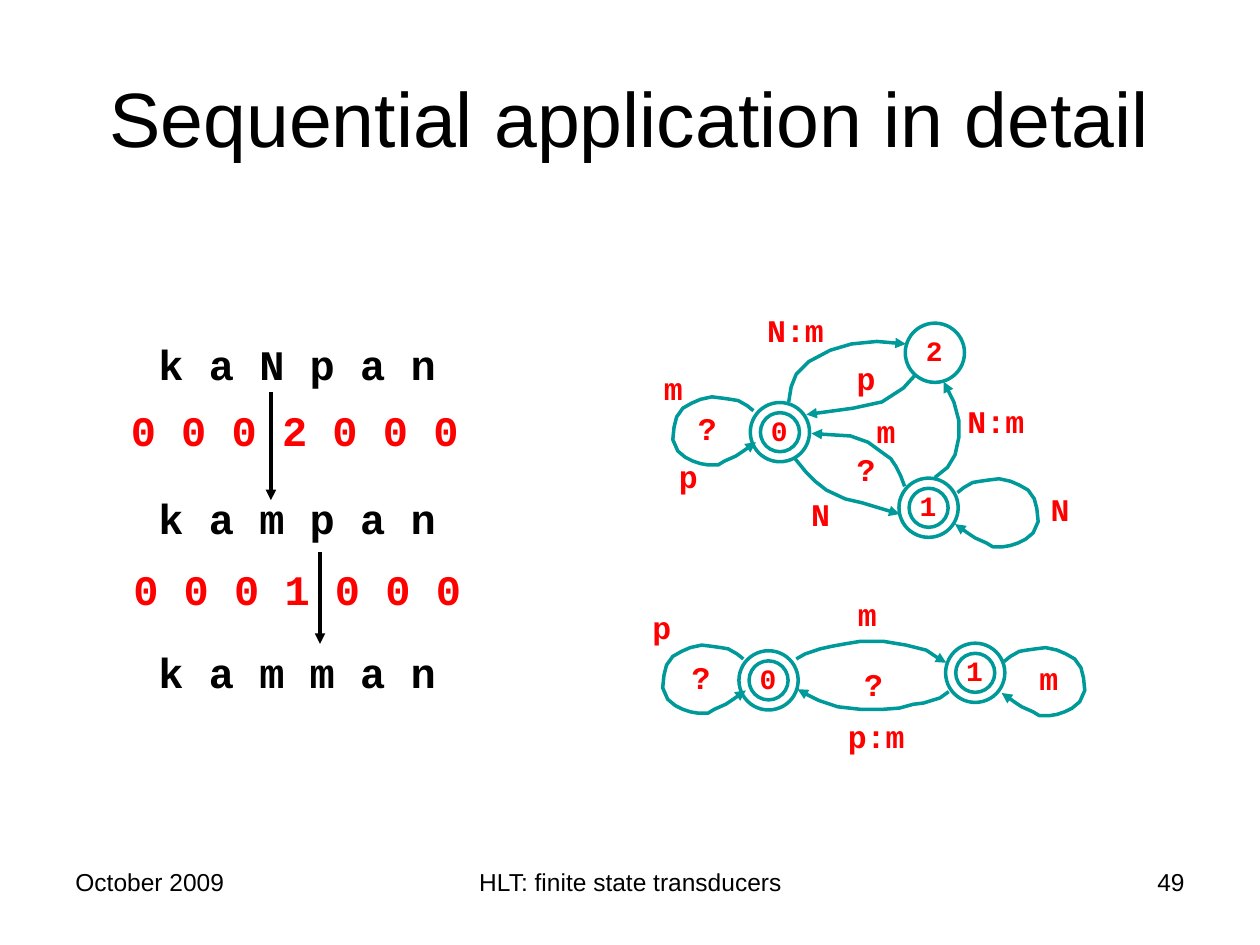
"""Build a slide that traces two transducers applied in sequence."""
from dataclasses import dataclass

from lxml import etree
from pptx import Presentation
from pptx.dml.color import RGBColor
from pptx.enum.shapes import MSO_CONNECTOR, MSO_SHAPE
from pptx.enum.text import MSO_ANCHOR, PP_ALIGN
from pptx.oxml.ns import qn
from pptx.shapes.base import BaseShape
from pptx.text.text import TextFrame
from pptx.util import Inches, Pt

LEFT, CENTER, RIGHT = PP_ALIGN.LEFT, PP_ALIGN.CENTER, PP_ALIGN.RIGHT
TOP, MIDDLE = MSO_ANCHOR.TOP, MSO_ANCHOR.MIDDLE
OVAL, STRAIGHT = MSO_SHAPE.OVAL, MSO_CONNECTOR.STRAIGHT

Point = tuple[float, float]


@dataclass(frozen=True)
class Theme:
    """Colours, fonts and type sizes of the slide."""
    black: RGBColor = RGBColor(0, 0, 0)
    red: RGBColor = RGBColor(255, 0, 0)
    teal: RGBColor = RGBColor(0, 0x99, 0x99)
    sans: str = "Arial"
    mono: str = "Courier New"
    title: int = 44
    word: int = 24
    label: int = 18
    state: int = 16
    foot: int = 14
    line: int = 2


@dataclass(frozen=True)
class Node:
    """A state, centred at x and y, with a second ring if final."""
    name: str
    x: float
    y: float
    final: bool = True


@dataclass(frozen=True)
class Loop:
    """An arc from a state to itself, open to the right unless flipped."""
    x: float
    y: float
    flip: bool = False


@dataclass(frozen=True)
class Label:
    """The symbols of an arc, with the left and top of their box."""
    text: str
    x: float
    y: float


@dataclass(frozen=True)
class Graph:
    """One transducer with its states, loops, arcs and labels."""
    nodes: list[Node]
    loops: list[Loop]
    arcs: list[list[Point]]
    labels: list[Label]


THEME = Theme()
OUTER, INNER = 0.47, 0.31
LOOP_WIDTH = 0.66
LOOP_PATH = [
    (0.64, 0.11), (0.59, 0.07), (0.52, 0.03), (0.46, 0.02), (0.39, 0.01), (0.31, 0),
    (0.22, 0.02), (0.15, 0.05), (0.08, 0.09), (0.03, 0.16), (0.01, 0.24), (0, 0.34),
    (0.04, 0.43), (0.1, 0.48), (0.16, 0.51), (0.22, 0.53), (0.28, 0.54), (0.36, 0.54),
    (0.41, 0.51), (0.5, 0.47), (0.56, 0.43), (0.66, 0.36)]

UPPER = Graph(
    nodes=[Node("0", 6.19, 3.43), Node("1", 7.37, 4.03), Node("2", 7.42, 2.8, False)],
    loops=[Loop(5.34, 3.15), Loop(7.58, 3.8, True)],
    arcs=[
        [(6.26, 3.19), (6.28, 3.07), (6.32, 2.97), (6.42, 2.87), (6.59, 2.78),
         (6.76, 2.73), (6.96, 2.71), (7.19, 2.73)],
        [(7.27, 2.97), (7.17, 3.08), (7, 3.19), (6.77, 3.24), (6.4, 3.29)],
        [(6.31, 3.64), (6.4, 3.75), (6.47, 3.82), (6.56, 3.89), (6.71, 3.96),
         (6.84, 3.99), (7.14, 4.08)],
        [(7.42, 3.79), (7.52, 3.71), (7.58, 3.61), (7.61, 3.47), (7.61, 3.34),
         (7.57, 3.19), (7.49, 3.03)],
        [(7.18, 3.86), (7.15, 3.78), (7.11, 3.7), (7.07, 3.64), (7, 3.59),
         (6.89, 3.51), (6.75, 3.46), (6.59, 3.45), (6.44, 3.44)]],
    labels=[Label("N:m", 5.99, 2.42), Label("N", 6.34, 3.88), Label("?", 6.7, 3.52),
            Label("?", 5.44, 3.2), Label("p", 6.7, 2.8), Label("N:m", 7.58, 3.14),
            Label("m", 5.17, 2.88), Label("p", 5.29, 3.58), Label("N", 8.24, 3.84),
            Label("m", 6.86, 3.22)])

LOWER = Graph(
    nodes=[Node("0", 6.1, 5.4), Node("1", 7.74, 5.34)],
    loops=[Loop(5.26, 5.12), Loop(7.95, 5.14, True)],
    arcs=[
        [(6.32, 5.23), (6.39, 5.19), (6.51, 5.15), (6.6, 5.13), (6.71, 5.11),
         (6.83, 5.09), (7.01, 5.09), (7.19, 5.12), (7.35, 5.16), (7.44, 5.22),
         (7.51, 5.26)],
        [(7.53, 5.49), (7.46, 5.54), (7.33, 5.58), (7.25, 5.59), (7.14, 5.62),
         (7.01, 5.63), (6.83, 5.63), (6.65, 5.61), (6.5, 5.56), (6.4, 5.51),
         (6.33, 5.47)]],
    labels=[Label("p:m", 6.63, 5.64), Label("?", 6.76, 5.23), Label("?", 5.39, 5.17),
            Label("m", 6.71, 4.67), Label("p", 5.08, 4.78), Label("m", 8.15, 5.18)])


def write(frame: TextFrame, text: str, *, size: int, font: str = THEME.mono,
          color: RGBColor = THEME.red, bold: bool = True, align: PP_ALIGN = LEFT,
          anchor: MSO_ANCHOR = TOP, gap: int = 0) -> None:
    """Fill a frame with one paragraph for each line of text."""
    frame.word_wrap = True
    frame.vertical_anchor = anchor
    frame.text = text
    for row, para in enumerate(frame.paragraphs):
        para.alignment = align
        para.space_before = Pt(gap if row else 0)
        face = para.font
        face.name, face.size, face.bold = font, Pt(size), bold
        face.color.rgb = color


def add_text(shapes, x: float, y: float, w: float, h: float, text: str, **style) -> None:
    """Add a text box and write in it."""
    box = shapes.add_textbox(Inches(x), Inches(y), Inches(w), Inches(h))
    write(box.text_frame, text, **style)


def stroke(shape: BaseShape, color: RGBColor, arrow: bool = False) -> None:
    """Set the line of a shape, with an arrowhead at its end if asked."""
    shape.line.color.rgb = color
    shape.line.width = Pt(THEME.line)
    if arrow:
        line = shape._element.spPr.find(qn("a:ln"))
        etree.SubElement(line, qn("a:tailEnd"), type="triangle")


def add_ring(shapes, node: Node, size: float) -> None:
    """Draw a circle around the centre of a state."""
    ring = shapes.add_shape(OVAL, Inches(node.x - size / 2), Inches(node.y - size / 2),
                            Inches(size), Inches(size))
    ring.shadow.inherit = False
    ring.fill.background()
    stroke(ring, THEME.teal)


def add_arc(shapes, points: list[Point]) -> None:
    """Draw an open curve that ends in an arrowhead."""
    start, *rest = [(Inches(x), Inches(y)) for x, y in points]
    pen = shapes.build_freeform(*start)
    pen.add_line_segments(rest, close=False)
    arc = pen.convert_to_shape()
    arc.shadow.inherit = False
    arc.fill.background()
    stroke(arc, THEME.teal, arrow=True)


def add_graph(slide, graph: Graph) -> None:
    """Draw a transducer as one group."""
    shapes = slide.shapes.add_group_shape().shapes
    for node in graph.nodes:
        for size in (OUTER, INNER) if node.final else (OUTER,):
            add_ring(shapes, node, size)
        add_text(shapes, node.x - 0.17, node.y - 0.2, 0.33, 0.36, node.name,
                 size=THEME.state, align=CENTER)
    for loop in graph.loops:
        add_arc(shapes, [(loop.x + (LOOP_WIDTH - x if loop.flip else x), loop.y + y)
                         for x, y in LOOP_PATH])
    for arc in graph.arcs:
        add_arc(shapes, arc)
    for label in graph.labels:
        add_text(shapes, label.x, label.y, 0.2 + 0.17 * len(label.text), 0.4,
                 label.text, size=THEME.label)


def add_arrow(slide, x: float, top: float, end: float) -> None:
    """Draw an arrow straight down."""
    arrow = slide.shapes.add_connector(STRAIGHT, Inches(x), Inches(top), Inches(x), Inches(end))
    stroke(arrow, THEME.black, arrow=True)
    etree.SubElement(arrow._element.spPr, qn("a:effectLst"))


def main() -> None:
    """Build and save the slide."""
    deck = Presentation()
    deck.slide_width, deck.slide_height = Inches(10), Inches(7.5)
    slide = deck.slides.add_slide(deck.slide_layouts[5])
    plain = dict(font=THEME.sans, color=THEME.black, bold=False)
    title = slide.shapes.title
    title.left, title.top, title.width, title.height = map(Inches, (0.5, 0.3, 9, 1.25))
    write(title.text_frame, "Sequential application in detail", size=THEME.title,
          align=CENTER, anchor=MIDDLE, **plain)
    for x, width, text, align in ((0.5, 2.33, "October 2009", LEFT),
                                  (3.42, 3.17, "HLT: finite state transducers", CENTER),
                                  (7.17, 2.33, "49", RIGHT)):
        add_text(slide.shapes, x, 6.83, width, 0.52, text, size=THEME.foot,
                 align=align, **plain)
    for graph in (UPPER, LOWER):
        add_graph(slide, graph)
    add_text(slide.shapes, 1.16, 2.64, 2.5, 2.9, "k a N p a n\nk a m p a n\nk a m m a n",
             size=THEME.word, color=THEME.black, gap=59)
    add_arrow(slide, 2.15, 3.11, 3.97)
    add_arrow(slide, 2.54, 4.38, 5.11)
    for x, y, text in ((0.94, 3.16, "0 0 0 2 0 0 0"), (0.96, 4.42, "0 0 0 1 0 0 0")):
        add_text(slide.shapes, x, y, 3, 0.5, text, size=THEME.word)
    deck.save("out.pptx")


if __name__ == "__main__":
    main()
